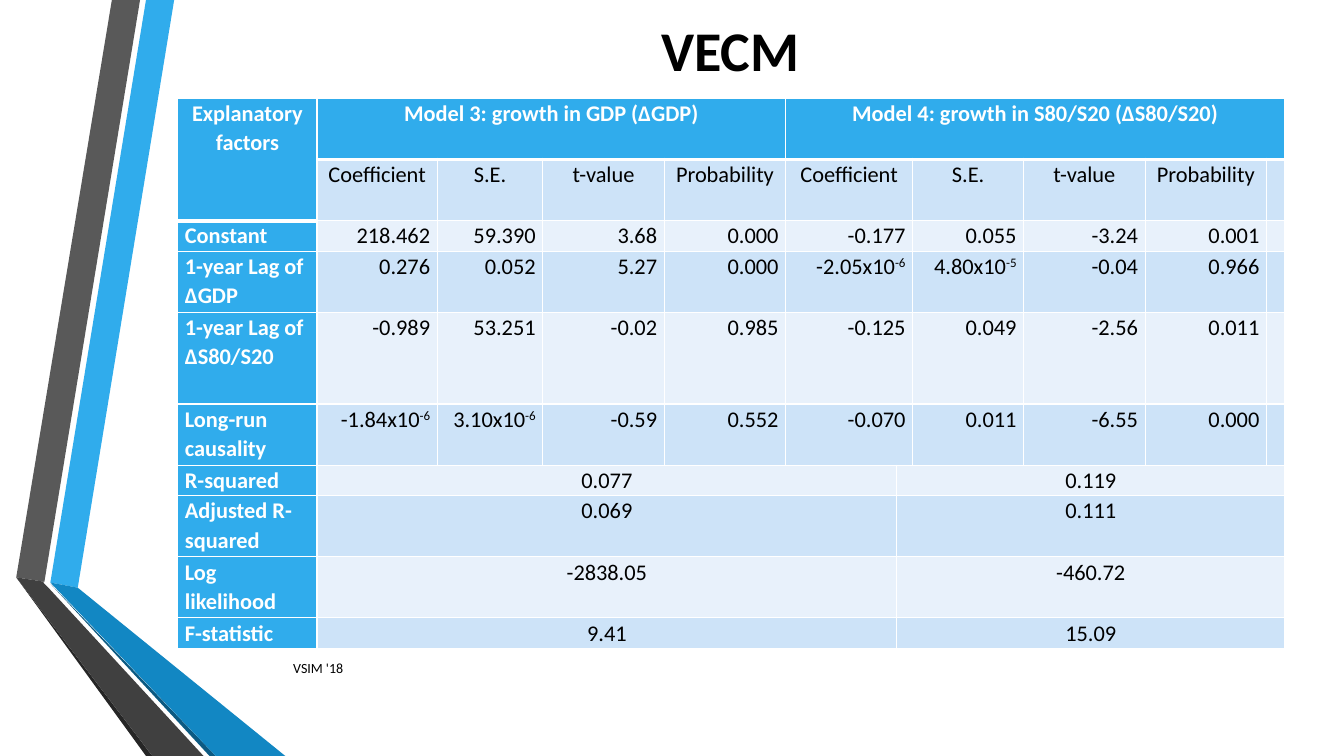
import pptx
import pptx.dml.color
import pptx.enum.text
import pptx.oxml
import pptx.oxml.ns
import pptx.util
from pptx.util import Cm

ALIGN = pptx.enum.text.PP_ALIGN
WHITE, BLACK = "FFFFFF", "000000"
BLUE, BAND, PALE = "30ACEC", "CDE3F8", "E8F1FB"

RIBBONS = [
    (BLUE, [(1.27, 14.68), (1.96, 14.81), (4.39, 0), (3.68, 0)]),
    ("595959", [(3.53, 0), (2.82, 0), (0.41, 14.55), (1.12, 14.66)]),
    ("262626", [(0.41, 14.55), (3.68, 19.05), (3.84, 19.05)]),
    ("0C5A82", [(1.27, 14.71), (5.28, 19.05), (5.44, 19.05)]),
    ("1287C3", [(1.27, 14.68), (5.44, 19.05), (7.19, 19.05), (1.96, 14.81)]),
    ("404040", [(5.13, 19.05), (1.22, 14.81), (1.09, 14.68), (1.12, 14.66),
                (0.41, 14.55), (3.84, 19.05)]),
]

COLUMN_WIDTHS = [3.51, 3.03, 2.66, 3.06, 3.06, 2.8, 0.4, 2.8, 3.06, 3.06, 0.4]
ROW_LINES = [2, 2, 1, 2, 3, 2, 1, 2, 2, 1]
LINE_HEIGHT = 0.77
VALUE_COLUMNS = [1, 2, 3, 4, 5, 7, 8, 9]
MODEL_HEADS = {1: "Model 3: growth in GDP (ΔGDP)",
               5: "Model 4: growth in S80/S20 (ΔS80/S20)"}
MEASURES = ["Coefficient", "S.E.", "t-value", "Probability"] * 2
ESTIMATES = [
    ("Constant", ["218.462", "59.390", "3.68", "0.000",
                  "-0.177", "0.055", "-3.24", "0.001"]),
    ("1-year Lag of ΔGDP", ["0.276", "0.052", "5.27", "0.000",
                            "-2.05x10^-6", "4.80x10^-5", "-0.04", "0.966"]),
    ("1-year Lag of ΔS80/S20", ["-0.989", "53.251", "-0.02", "0.985",
                                "-0.125", "0.049", "-2.56", "0.011"]),
    ("Long-run causality", ["-1.84x10^-6", "3.10x10^-6", "-0.59", "0.552",
                            "-0.070", "0.011", "-6.55", "0.000"]),
]
SUMMARIES = [
    ("R-squared", "0.077", "0.119"),
    ("Adjusted R-squared", "0.069", "0.111"),
    ("Log likelihood", "-2838.05", "-460.72"),
    ("F-statistic", "9.41", "15.09"),
]


def rgb(value):
    """Return the colour for a hex string."""
    return pptx.dml.color.RGBColor.from_string(value)


def style_para(para, size, color, bold=False, align=ALIGN.LEFT):
    """Set the font and alignment of a paragraph."""
    para.alignment = align
    para.font.name = "Calibri"
    para.font.size = pptx.util.Pt(size)
    para.font.bold = bold
    para.font.color.rgb = rgb(color)


def add_ribbons(page):
    """Draw the folded ribbons on the left edge."""
    group = page.shapes.add_group_shape()
    for color, corners in RIBBONS:
        points = [(Cm(x), Cm(y)) for x, y in corners]
        builder = group.shapes.build_freeform(*points[0])
        builder.add_line_segments(points[1:], close=True)
        ribbon = builder.convert_to_shape()
        ribbon.shadow.inherit = False
        ribbon.fill.solid()
        ribbon.fill.fore_color.rgb = rgb(color)
        ribbon.line.fill.background()


def add_label(page, text, left, top, width, height, size, **style):
    """Add a one-line text box centred vertically."""
    box = page.shapes.add_textbox(Cm(left), Cm(top), Cm(width), Cm(height))
    box.text_frame.word_wrap = True
    box.text_frame.vertical_anchor = pptx.enum.text.MSO_ANCHOR.MIDDLE
    para = box.text_frame.paragraphs[0]
    para.text = text
    style_para(para, size, BLACK, **style)


def set_borders(cell, heavy):
    """Give a cell white borders, 3 pt on the heavy sides and 1 pt elsewhere."""
    properties = cell._tc.get_or_add_tcPr()
    for side in "LRTB":
        width = pptx.util.Pt(3 if side in heavy else 1)
        properties.append(pptx.oxml.parse_xml(
            f'<a:ln{side} {pptx.oxml.ns.nsdecls("a")} w="{width}"><a:solidFill>'
            f'<a:srgbClr val="{WHITE}"/></a:solidFill></a:ln{side}>'))


def format_cell(cell, row, column):
    """Set the borders, fill and margins that belong to a grid position."""
    below_head = row == (1 if column else 2)
    above_body = row == 0 or (row == 1 and column == 0)
    set_borders(cell, "T" * below_head + "B" * above_body)
    heading = row == 0 or column == 0
    cell.fill.solid()
    cell.fill.fore_color.rgb = rgb(BLUE if heading else BAND if row % 2 else PALE)
    cell.margin_left = cell.margin_right = Cm(0.18)
    cell.margin_top = cell.margin_bottom = 0
    para = cell.text_frame.paragraphs[0]
    para.line_spacing = 1.07
    style_para(para, 16, WHITE if heading else BLACK, bold=heading)


def write_cell(cell, text, align=ALIGN.LEFT):
    """Write text in a cell, raising what follows a caret."""
    para = cell.text_frame.paragraphs[0]
    para.alignment = align
    base, _, exponent = text.partition("^")
    para.add_run().text = base
    if exponent:
        span = para.add_run()
        span.text = exponent
        span._r.get_or_add_rPr().set("baseline", "30000")


def fill_table(table):
    """Merge the cells of the regression table and write its contents."""
    table.cell(0, 0).merge(table.cell(1, 0))
    write_cell(table.cell(0, 0), "Explanatory factors", ALIGN.CENTER)
    for column, last in ((1, 4), (5, 10)):
        table.cell(0, column).merge(table.cell(0, last))
        write_cell(table.cell(0, column), MODEL_HEADS[column], ALIGN.CENTER)
    for column, measure in zip(VALUE_COLUMNS, MEASURES):
        write_cell(table.cell(1, column), measure, ALIGN.CENTER)
    for row in range(1, 6):
        table.cell(row, 5).merge(table.cell(row, 6))
    for row, (factor, values) in enumerate(ESTIMATES, 2):
        write_cell(table.cell(row, 0), factor)
        for column, value in zip(VALUE_COLUMNS, values):
            write_cell(table.cell(row, column), value, ALIGN.RIGHT)
    for row, (statistic, *values) in enumerate(SUMMARIES, 6):
        write_cell(table.cell(row, 0), statistic)
        for column, value in zip((1, 6), values):
            table.cell(row, column).merge(table.cell(row, column + 4))
            write_cell(table.cell(row, column), value, ALIGN.CENTER)


def add_regression_table(page):
    """Add the table of both models."""
    frame = page.shapes.add_table(
        len(ROW_LINES), len(COLUMN_WIDTHS), Cm(4.48), Cm(2.48),
        Cm(sum(COLUMN_WIDTHS)), Cm(sum(ROW_LINES) * LINE_HEIGHT))
    table = frame.table
    for column, width in zip(table.columns, COLUMN_WIDTHS):
        column.width = Cm(width)
    for row, lines in zip(table.rows, ROW_LINES):
        row.height = Cm(lines * LINE_HEIGHT)
    for row in range(len(ROW_LINES)):
        for column in range(len(COLUMN_WIDTHS)):
            format_cell(table.cell(row, column), row, column)
    fill_table(table)


def main():
    """Build the slide and save it."""
    deck = pptx.Presentation()
    deck.slide_width, deck.slide_height = Cm(33.87), Cm(19.05)
    page = deck.slides.add_slide(deck.slide_layouts[6])
    add_ribbons(page)
    add_label(page, "VECM", 4.48, 0, 27.84, 2.48, 40, bold=True, align=ALIGN.CENTER)
    add_label(page, "VSIM '18", 7.14, 16.33, 19.69, 1.02, 10)
    add_regression_table(page)
    deck.save("out.pptx")


if __name__ == "__main__":
    main()
